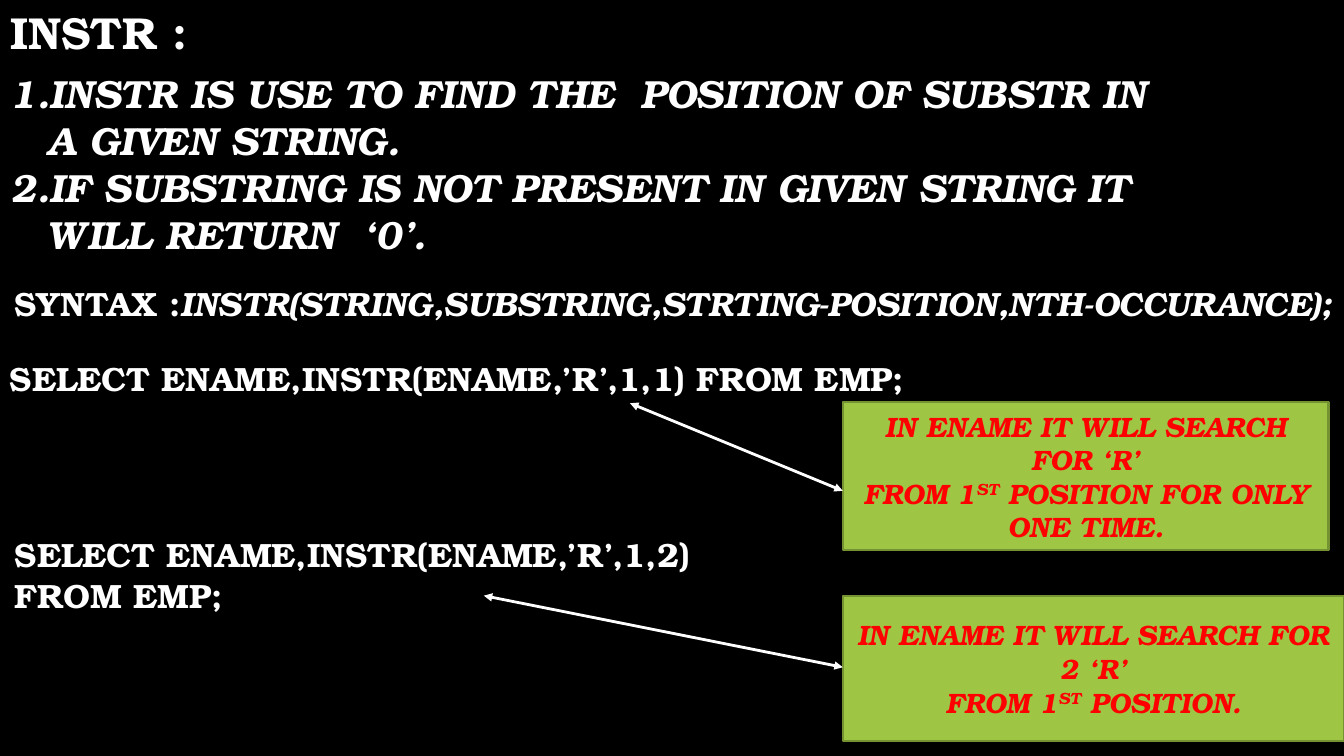
"""Build the slide that explains the INSTR function."""
from dataclasses import dataclass

from lxml.etree import SubElement
from pptx import Presentation
from pptx.dml.color import RGBColor
from pptx.enum.shapes import MSO_CONNECTOR, MSO_SHAPE
from pptx.enum.text import MSO_ANCHOR, MSO_AUTO_SIZE, PP_ALIGN
from pptx.oxml.ns import qn
from pptx.util import Pt

FONT = "TeX Gyre Bonum"
COLORS = {
    "background": "000000",
    "text": "FFFFFF",
    "note_fill": "9EC544",
    "note_line": "759232",
    "note_text": "FF0000",
}
LIST_INDENT = 27
NOTE_LEFT = 602


@dataclass(frozen=True)
class Box:
    left: float
    top: float
    width: float
    height: float


@dataclass(frozen=True)
class Style:
    size: float
    color: str = "text"
    italic: bool = False


@dataclass(frozen=True)
class Statement:
    text: str
    box: Box
    italic: bool = False
    wrap: bool = True


@dataclass(frozen=True)
class Note:
    search: str
    ending: str
    box: Box


@dataclass(frozen=True)
class Arrow:
    start: tuple[float, float]
    end: tuple[float, float]


TITLE_BOX = Box(0, 0, 356, 46)
LIST_BOX = Box(0, 46, 844.5, 143)
RULES = [
    "INSTR IS USE TO FIND THE  POSITION OF SUBSTR IN A GIVEN STRING.",
    "IF SUBSTRING IS NOT PRESENT IN GIVEN STRING IT WILL RETURN  ‘0’.",
]
STATEMENTS = [
    Statement("SYNTAX :", Box(3.6, 198.7, 191, 36)),
    Statement("INSTR(STRING,SUBSTRING,STRTING-POSITION,NTH-OCCURANCE);",
              Box(121.7, 198.7, 838, 36), italic=True, wrap=False),
    Statement("SELECT ENAME,INSTR(ENAME,’R’,1,1) FROM EMP;", Box(0, 252, 809, 36)),
    Statement("SELECT ENAME,INSTR(ENAME,’R’,1,2) FROM EMP;", Box(3.6, 378, 522, 65.5)),
]
NOTES = [
    Note("IN ENAME IT WILL SEARCH FOR ‘R’", " POSITION FOR ONLY ONE TIME.",
         Box(NOTE_LEFT, 287.3, 347, 105.8)),
    Note("IN ENAME IT WILL SEARCH FOR 2 ‘R’", " POSITION.",
         Box(NOTE_LEFT, 425.5, 358, 103.7)),
]
ARROWS = [
    Arrow((450, 288), (NOTE_LEFT, 350.6)),
    Arrow((345.6, 425.5), (NOTE_LEFT, 476.6)),
]


def color(name: str) -> RGBColor:
    """Look up a named colour."""
    return RGBColor.from_string(COLORS[name])


def edges(box: Box) -> tuple[Pt, Pt, Pt, Pt]:
    """Give the box as point lengths."""
    return Pt(box.left), Pt(box.top), Pt(box.width), Pt(box.height)


def place(shape, box: Box) -> None:
    """Move and size a placeholder."""
    shape.left, shape.top, shape.width, shape.height = edges(box)


def set_frame(shape, anchor: MSO_ANCHOR, wrap: bool = True):
    """Set the text frame's wrapping and anchor, and return the frame."""
    frame = shape.text_frame
    frame.auto_size = MSO_AUTO_SIZE.NONE
    frame.word_wrap = wrap
    frame.vertical_anchor = anchor
    return frame


def add_run(paragraph, text: str, style: Style, superscript: bool = False) -> None:
    """Add one bold run in the given style."""
    run = paragraph.add_run()
    run.text = text
    run.font.name = FONT
    run.font.size = Pt(style.size)
    run.font.bold = True
    run.font.italic = style.italic
    run.font.color.rgb = color(style.color)
    if superscript:
        run._r.get_or_add_rPr().set("baseline", "30000")


def fill_title(title) -> None:
    """Write the heading in the title placeholder."""
    place(title, TITLE_BOX)
    paragraph = set_frame(title, MSO_ANCHOR.TOP).paragraphs[0]
    paragraph.alignment = PP_ALIGN.LEFT
    add_run(paragraph, "INSTR :", Style(32))


def fill_list(body) -> None:
    """Write the numbered rules in the body placeholder."""
    place(body, LIST_BOX)
    frame = set_frame(body, MSO_ANCHOR.TOP)
    for index, rule in enumerate(RULES):
        paragraph = frame.add_paragraph() if index else frame.paragraphs[0]
        paragraph.space_before = Pt(0)
        properties = paragraph._p.get_or_add_pPr()
        properties.set("marL", str(Pt(LIST_INDENT)))
        properties.set("indent", str(-Pt(LIST_INDENT)))
        SubElement(properties, qn("a:buFont"), typeface=FONT)
        SubElement(properties, qn("a:buAutoNum"), type="arabicPeriod")
        add_run(paragraph, rule, Style(28, italic=True))


def add_statement(slide, statement: Statement) -> None:
    """Add a line of SQL as a text box."""
    shape = slide.shapes.add_textbox(*edges(statement.box))
    frame = set_frame(shape, MSO_ANCHOR.TOP, statement.wrap)
    add_run(frame.paragraphs[0], statement.text, Style(24, italic=statement.italic))


def add_note(slide, note: Note) -> None:
    """Add a green box that explains a query."""
    shape = slide.shapes.add_shape(MSO_SHAPE.RECTANGLE, *edges(note.box))
    shape.shadow.inherit = False
    shape.fill.solid()
    shape.fill.fore_color.rgb = color("note_fill")
    shape.line.color.rgb = color("note_line")
    shape.line.width = Pt(1.5)
    frame = set_frame(shape, MSO_ANCHOR.MIDDLE)
    style = Style(20, "note_text", italic=True)
    search, position = frame.paragraphs[0], frame.add_paragraph()
    search.alignment = position.alignment = PP_ALIGN.CENTER
    add_run(search, note.search, style)
    add_run(position, "FROM 1", style)
    add_run(position, "ST", style, superscript=True)
    add_run(position, note.ending, style)


def add_arrow(slide, arrow: Arrow) -> None:
    """Add a double-headed arrow from a query to its note."""
    points = [Pt(value) for value in arrow.start + arrow.end]
    connector = slide.shapes.add_connector(MSO_CONNECTOR.STRAIGHT, *points)
    connector.line.color.rgb = color("text")
    connector.line.width = Pt(2)
    properties = connector.line._get_or_add_ln()
    for end in ("a:headEnd", "a:tailEnd"):
        SubElement(properties, qn(end), type="triangle")
    SubElement(connector._element.spPr, qn("a:effectLst"))


def main() -> None:
    """Build and save the presentation."""
    presentation = Presentation()
    presentation.slide_width, presentation.slide_height = Pt(960), Pt(540)
    slide = presentation.slides.add_slide(presentation.slide_layouts[1])
    slide.background.fill.solid()
    slide.background.fill.fore_color.rgb = color("background")
    fill_title(slide.shapes.title)
    fill_list(slide.placeholders[1])
    for statement in STATEMENTS:
        add_statement(slide, statement)
    for note in NOTES:
        add_note(slide, note)
    for arrow in ARROWS:
        add_arrow(slide, arrow)
    presentation.save("out.pptx")


main()
